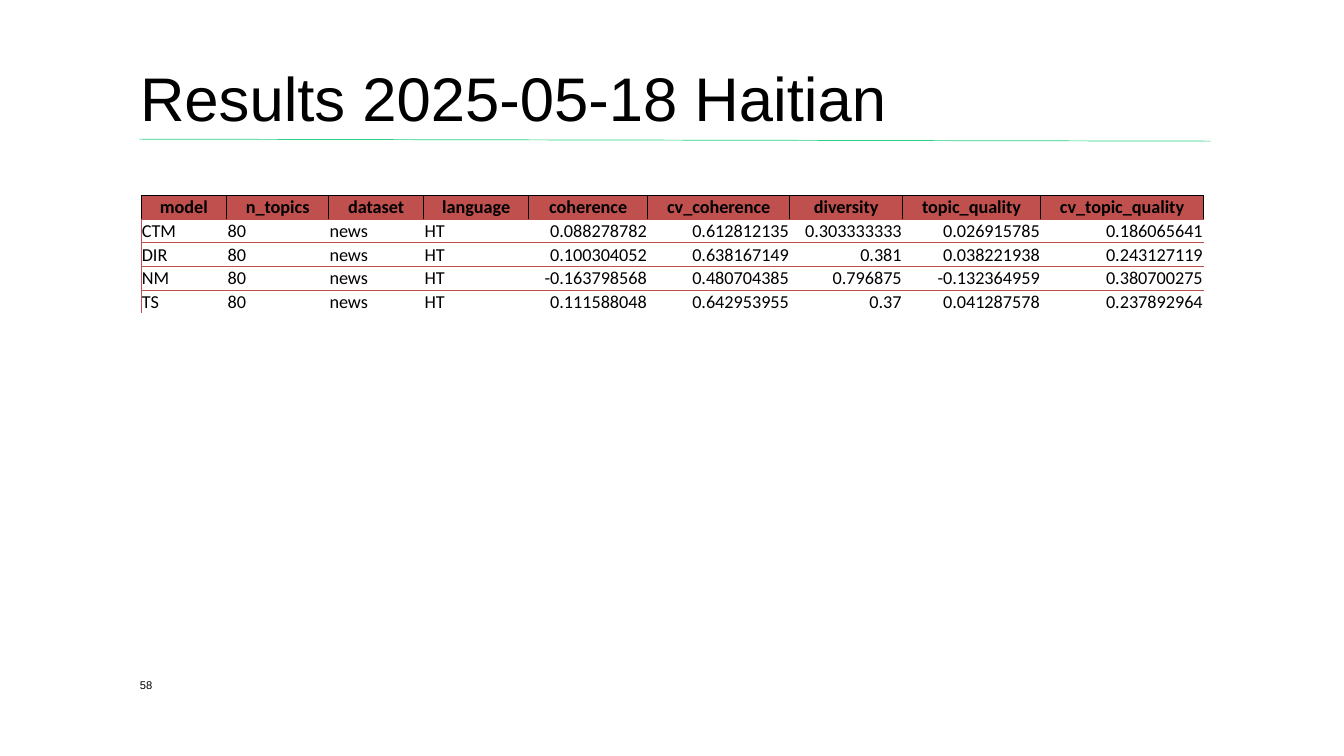
import pptx
import pptx.dml.color
import pptx.enum.shapes
import pptx.enum.text
import pptx.oxml
import pptx.oxml.ns
import pptx.util

Pt = pptx.util.Pt
ALIGN = pptx.enum.text.PP_ALIGN
ANCHOR = pptx.enum.text.MSO_ANCHOR
NS = pptx.oxml.ns.nsdecls("a")


def color(value):
    return pptx.dml.color.RGBColor.from_string(value)


def write(tf, text, font="Arial", size=8, bold=False, align=ALIGN.LEFT, spacing=1.0):
    p = tf.paragraphs[0]
    p.alignment = align
    p.line_spacing = spacing
    r = p.add_run()
    r.text = text
    r.font.name = font
    r.font.size = Pt(size)
    r.font.bold = bold
    r.font.color.rgb = color("000000")


class Deck:
    red = "C0504D"
    black = "000000"
    green = "26D07C"

    def __init__(self):
        self.prs = pptx.Presentation()
        self.prs.slide_width = Pt(960)
        self.prs.slide_height = Pt(540)
        self.s = self.prs.slides.add_slide(self.prs.slide_layouts[6])

    def line(self, x1, y1, x2, y2):
        kind = pptx.enum.shapes.MSO_CONNECTOR.STRAIGHT
        sp = self.s.shapes.add_connector(kind, Pt(x1), Pt(y1), Pt(x2), Pt(y2))
        sp.line.color.rgb = color(self.green)
        sp.line.width = Pt(0.5)
        sp._element.spPr.append(pptx.oxml.parse_xml(f"<a:effectLst {NS}/>"))

    def text(self, x, y, w, h, text, **style):
        tf = self.s.shapes.add_textbox(Pt(x), Pt(y), Pt(w), Pt(h)).text_frame
        tf.word_wrap = True
        tf.vertical_anchor = ANCHOR.BOTTOM
        tf.margin_left = tf.margin_top = tf.margin_right = tf.margin_bottom = 0
        write(tf, text, **style)

    def borders(self, cell, edges):
        tc_pr = cell._tc.get_or_add_tcPr()
        for side in "LRTB":
            if side in edges:
                paint = f'<a:solidFill><a:srgbClr val="{edges[side]}"/></a:solidFill>'
            else:
                paint = "<a:noFill/>"
            xml = f'<a:ln{side} {NS} w="{Pt(0.5)}">{paint}</a:ln{side}>'
            tc_pr.append(pptx.oxml.parse_xml(xml))

    def cell(self, cell, text, edges, fill=None, anchor=ANCHOR.BOTTOM, **style):
        cell.margin_left = cell.margin_right = cell.margin_top = Pt(0.7)
        cell.margin_bottom = 0
        cell.vertical_anchor = anchor
        self.borders(cell, edges)
        if fill:
            cell.fill.solid()
            cell.fill.fore_color.rgb = color(fill)
        else:
            cell.fill.background()
        write(cell.text_frame, text, font="Calibri", size=13, **style)

    def table(self, x, y, widths, row_height, header, rows):
        tb = self.s.shapes.add_table(len(rows) + 1, len(header), Pt(x), Pt(y),
                                     Pt(sum(widths)), Pt(row_height * (len(rows) + 1))).table
        tb.first_row = tb.horz_banding = False
        for column, width in zip(tb.columns, widths):
            column.width = Pt(width)
        for row in tb.rows:
            row.height = Pt(row_height)
        for j, name in enumerate(header):
            edges = dict.fromkeys("LRT", self.black) | {"B": self.red}
            self.cell(tb.cell(0, j), name, edges, fill=self.red, anchor=ANCHOR.TOP,
                      bold=True, align=ALIGN.CENTER)
        for i, values in enumerate(rows, 1):
            for j, value in enumerate(values):
                sides = "T" + "B" * (i < len(rows)) + "L" * (j == 0)
                self.cell(tb.cell(i, j), value, dict.fromkeys(sides, self.red),
                          align=ALIGN.RIGHT if j > 3 else ALIGN.LEFT)


def main():
    deck = Deck()
    deck.line(99.4, 99.4, 864.7, 100.8)
    deck.text(100, 28.8, 764.6, 67.7, "Results 2025-05-18 Haitian", size=44, spacing=0.9)
    deck.text(100, 475.2, 36, 18.7, "58")
    header = ["model", "n_topics", "dataset", "language", "coherence", "cv_coherence",
              "diversity", "topic_quality", "cv_topic_quality"]
    scores = {
        "CTM": ["0.088278782", "0.612812135", "0.303333333", "0.026915785", "0.186065641"],
        "DIR": ["0.100304052", "0.638167149", "0.381", "0.038221938", "0.243127119"],
        "NM": ["-0.163798568", "0.480704385", "0.796875", "-0.132364959", "0.380700275"],
        "TS": ["0.111588048", "0.642953955", "0.37", "0.041287578", "0.237892964"],
    }
    rows = [[model, "80", "news", "HT", *values] for model, values in scores.items()]
    widths = [61.4, 72.7, 68, 75, 85, 101.5, 80.6, 98.6, 116.4]
    deck.table(100.6, 139.7, widths, 16.85, header, rows)
    deck.prs.save("out.pptx")


if __name__ == "__main__":
    main()
